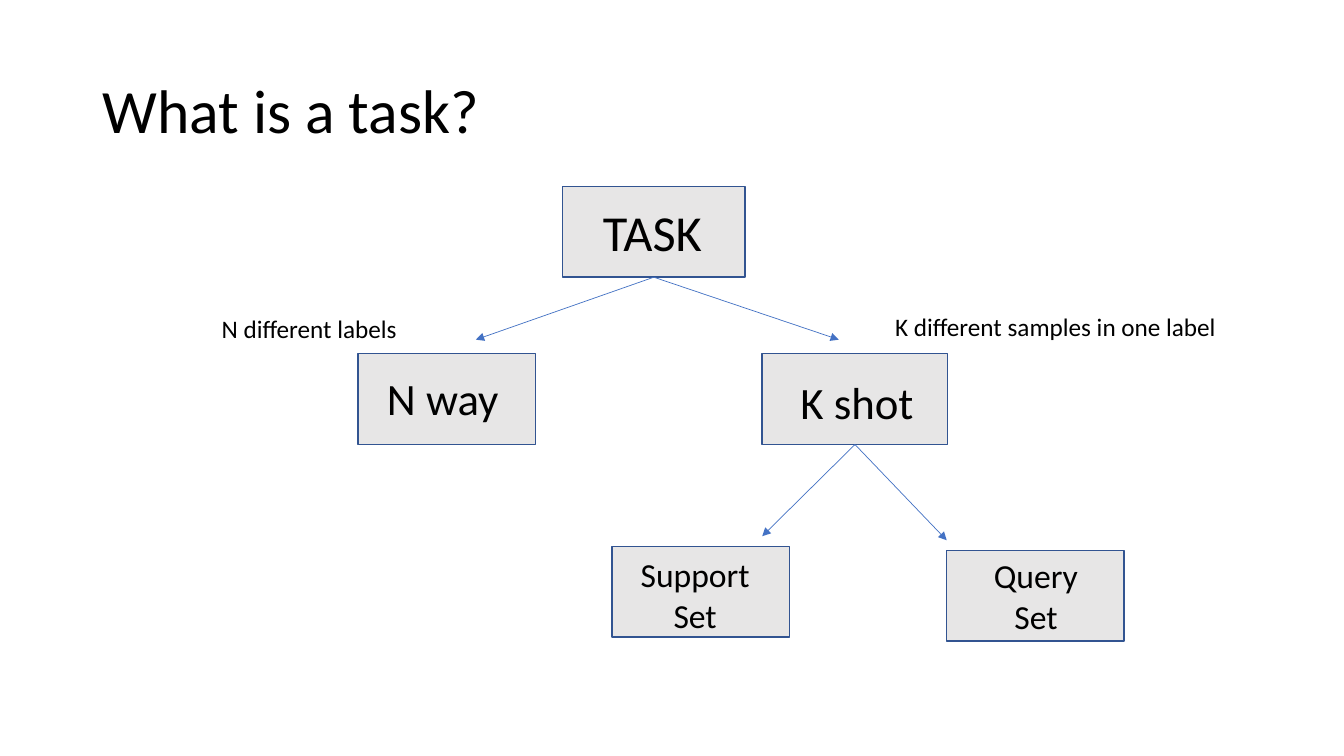
from pptx import Presentation
from pptx.dml.color import RGBColor
from pptx.enum import shapes, text
from pptx.oxml.ns import qn
from pptx.util import Inches, Pt
from lxml import etree

COLORS = {"text": "000000", "box": "E7E6E6", "border": "325491", "arrow": "4472C4"}
FONT = "Calibri"
BOX_H = 0.9
LEFT, CENTER = text.PP_ALIGN.LEFT, text.PP_ALIGN.CENTER
TOP, MIDDLE = text.MSO_ANCHOR.TOP, text.MSO_ANCHOR.MIDDLE

# name: left, top, width
BOXES = {
    "task": (5.58, 1.85, 1.81),
    "way": (3.55, 3.51, 1.76),
    "shot": (7.56, 3.51, 1.84),
    "support": (6.07, 5.42, 1.76),
    "query": (9.39, 5.46, 1.76),
}
# parent box, x and y of the arrow tip
ARROWS = [
    ("task", 4.72, 3.37),
    ("task", 8.32, 3.37),
    ("shot", 7.56, 5.32),
    ("shot", 9.39, 5.36),
]
# words, (left, top, width, height), size, alignment, anchor, line spacing
TEXTS = [
    ("What is a task?", (0.92, 0.4, 11.5, 1.45), 44, LEFT, MIDDLE, 0.9),
    ("TASK", (5.88, 1.95, 1.39, 0.71), 36, LEFT, TOP, 1.0),
    ("N way", (3.74, 3.63, 1.33, 0.64), 32, LEFT, TOP, 1.0),
    ("K shot", (7.84, 3.67, 1.37, 0.64), 32, LEFT, TOP, 1.0),
    ("N different labels", (2.1, 3.06, 2.58, 0.4), 18, LEFT, TOP, 1.0),
    ("K different samples in one label", (8.78, 3.04, 3.67, 0.4), 18, LEFT, TOP, 1.0),
    ("Support Set", (6.23, 5.45, 1.33, 0.91), 24, CENTER, TOP, 1.0),
    ("Query Set", (9.61, 5.46, 1.33, 0.91), 24, CENTER, TOP, 1.0),
]


def rgb(name):
    return RGBColor.from_string(COLORS[name])


def add_box(s, left, top, width):
    sp = s.shapes.add_shape(shapes.MSO_SHAPE.RECTANGLE,
                            *map(Inches, (left, top, width, BOX_H)))
    sp.shadow.inherit = False
    sp.fill.solid()
    sp.fill.fore_color.rgb = rgb("box")
    sp.line.color.rgb = rgb("border")
    sp.line.width = Pt(1)


def add_arrow(s, parent, x, y):
    """Draw an arrow from the bottom centre of the parent box to (x, y)."""
    left, top, width = BOXES[parent]
    ends = (left + width / 2, top + BOX_H, x, y)
    cx = s.shapes.add_connector(shapes.MSO_CONNECTOR.STRAIGHT, *map(Inches, ends))
    cx.line.color.rgb = rgb("arrow")
    cx.line.width = Pt(0.5)
    etree.SubElement(cx.line._get_or_add_ln(), qn("a:tailEnd"), type="triangle")
    etree.SubElement(cx._element.spPr, qn("a:effectLst"))


def add_text(s, words, place, size, align, anchor, spacing):
    tf = s.shapes.add_textbox(*map(Inches, place)).text_frame
    tf.word_wrap = True
    tf.vertical_anchor = anchor
    p = tf.paragraphs[0]
    p.alignment = align
    p.line_spacing = spacing
    r = p.add_run()
    r.text = words
    for name, value in {"name": FONT, "size": Pt(size)}.items():
        setattr(r.font, name, value)
    r.font.color.rgb = rgb("text")


def main():
    prs = Presentation()
    prs.slide_width, prs.slide_height = Inches(13.33), Inches(7.5)
    s = prs.slides.add_slide(prs.slide_layouts[6])
    for box in BOXES.values():
        add_box(s, *box)
    for arrow in ARROWS:
        add_arrow(s, *arrow)
    for item in TEXTS:
        add_text(s, *item)
    prs.save("out.pptx")


if __name__ == "__main__":
    main()
